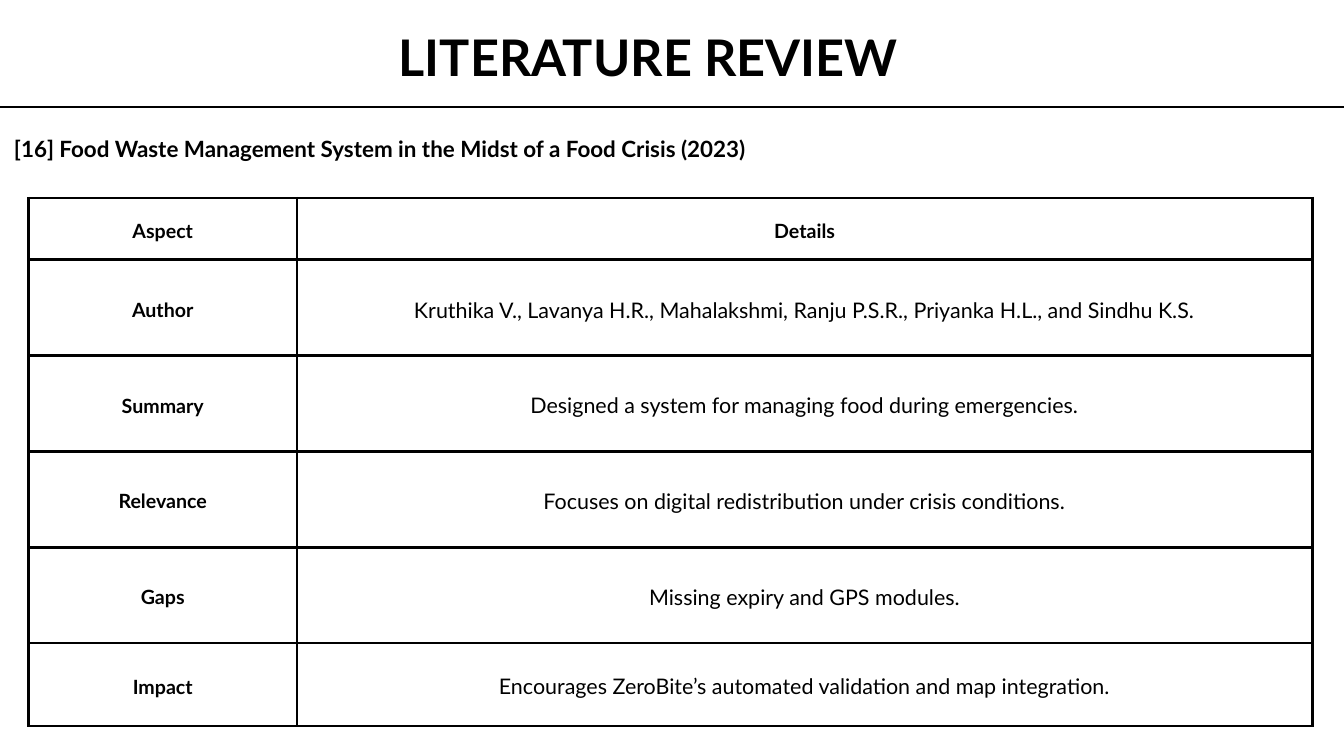
from lxml import etree
from pptx import Presentation
from pptx.dml.color import RGBColor
from pptx.enum.shapes import MSO_CONNECTOR
from pptx.enum.text import MSO_ANCHOR, MSO_AUTO_SIZE, PP_ALIGN
from pptx.oxml.ns import qn
from pptx.util import Emu, Pt

LINE = MSO_CONNECTOR.STRAIGHT
MIDDLE = MSO_ANCHOR.MIDDLE
GROW = MSO_AUTO_SIZE.SHAPE_TO_FIT_TEXT
LEFT, CENTER = PP_ALIGN.LEFT, PP_ALIGN.CENTER

SCALE = 9525
FONT = "Lato"
COLORS = {"ink": "000000", "paper": "FFFFFF"}
STROKE = 3
ROWS = [
    ("Aspect", "Details"),
    ("Author", "Kruthika V., Lavanya H.R., Mahalakshmi, Ranju P.S.R., Priyanka H.L., and Sindhu K.S."),
    ("Summary", "Designed a system for managing food during emergencies."),
    ("Relevance", "Focuses on digital redistribution under crisis conditions."),
    ("Gaps", "Missing expiry and GPS modules."),
    ("Impact", "Encourages ZeroBite’s automated validation and map integration."),
]


def px(n):
    """Turn px into EMU."""
    return Emu(n * SCALE)


def color(name):
    """Look up a colour by name."""
    return RGBColor.from_string(COLORS[name])


def write(frame, text, size, bold=True, align=CENTER):
    """Write one line of text at 1.4 times its size in leading."""
    para = frame.paragraphs[0]
    para.alignment = align
    para.line_spacing = Pt(round(size * 1.4, 1))
    run = para.add_run()
    run.text = text
    font = run.font
    font.name, font.size, font.bold = FONT, Pt(size), bold
    font.color.rgb = color("ink")


def add_label(slide, box, text, size, align):
    """Add a text box without margins."""
    frame = slide.shapes.add_textbox(*map(px, box)).text_frame
    frame.margin_left = frame.margin_right = 0
    frame.margin_top = frame.margin_bottom = 0
    frame.word_wrap = True
    frame.auto_size = GROW
    write(frame, text, size, align=align)


def add_rule(slide, x, y, width):
    """Draw the rule below the title."""
    rule = slide.shapes.add_connector(LINE, px(x), px(y), px(x + width), px(y))
    rule.line.color.rgb = color("ink")
    rule.line.width = Pt(STROKE)
    etree.SubElement(rule._element.spPr, qn("a:effectLst"))


def add_edges(cell):
    """Draw the four borders of a cell."""
    props = cell._tc.get_or_add_tcPr()
    for spot, side in enumerate(("lnL", "lnR", "lnT", "lnB")):
        edge = etree.Element(qn("a:" + side), w=str(Pt(STROKE)))
        fill = etree.SubElement(edge, qn("a:solidFill"))
        etree.SubElement(fill, qn("a:srgbClr"), val=COLORS["ink"])
        props.insert(spot, edge)


def add_review(slide, box, split, head, foot):
    """Add the review table with equal rows between head and foot."""
    width, height = box[2:]
    count = len(ROWS)
    table = slide.shapes.add_table(count, 2, *map(px, box)).table
    table.first_row = table.horz_banding = False
    table.columns[0].width = px(split)
    table.columns[1].width = px(width - split)
    body = (height - head - foot) // (count - 2)
    heights = [head] + [body] * (count - 2) + [foot]
    for r, texts in enumerate(ROWS):
        table.rows[r].height = px(heights[r])
        for c, text in enumerate(texts):
            cell = table.cell(r, c)
            cell.margin_left = cell.margin_right = px(20)
            cell.margin_top = cell.margin_bottom = px(20)
            cell.vertical_anchor = MIDDLE
            cell.fill.solid()
            cell.fill.fore_color.rgb = color("paper")
            bold = r == 0 or c == 0
            write(cell.text_frame, text, 21 if bold else 23, bold)
            add_edges(cell)


def main():
    """Build the slide and save it."""
    deck = Presentation()
    deck.slide_width, deck.slide_height = px(1920), px(1080)
    slide = deck.slides.add_slide(deck.slide_layouts[6])
    slide.background.fill.solid()
    slide.background.fill.fore_color.rgb = color("paper")
    add_rule(slide, -57, 153, 2034)
    add_review(slide, (41, 283, 1834, 754), 383, 88, 118)
    add_label(slide, (552, 23, 748, 112), "LITERATURE REVIEW", 54, CENTER)
    add_label(slide, (20, 187, 1875, 51),
              "[16] Food Waste Management System in the Midst of a Food Crisis (2023)", 24, LEFT)
    deck.save("out.pptx")


if __name__ == "__main__":
    main()
